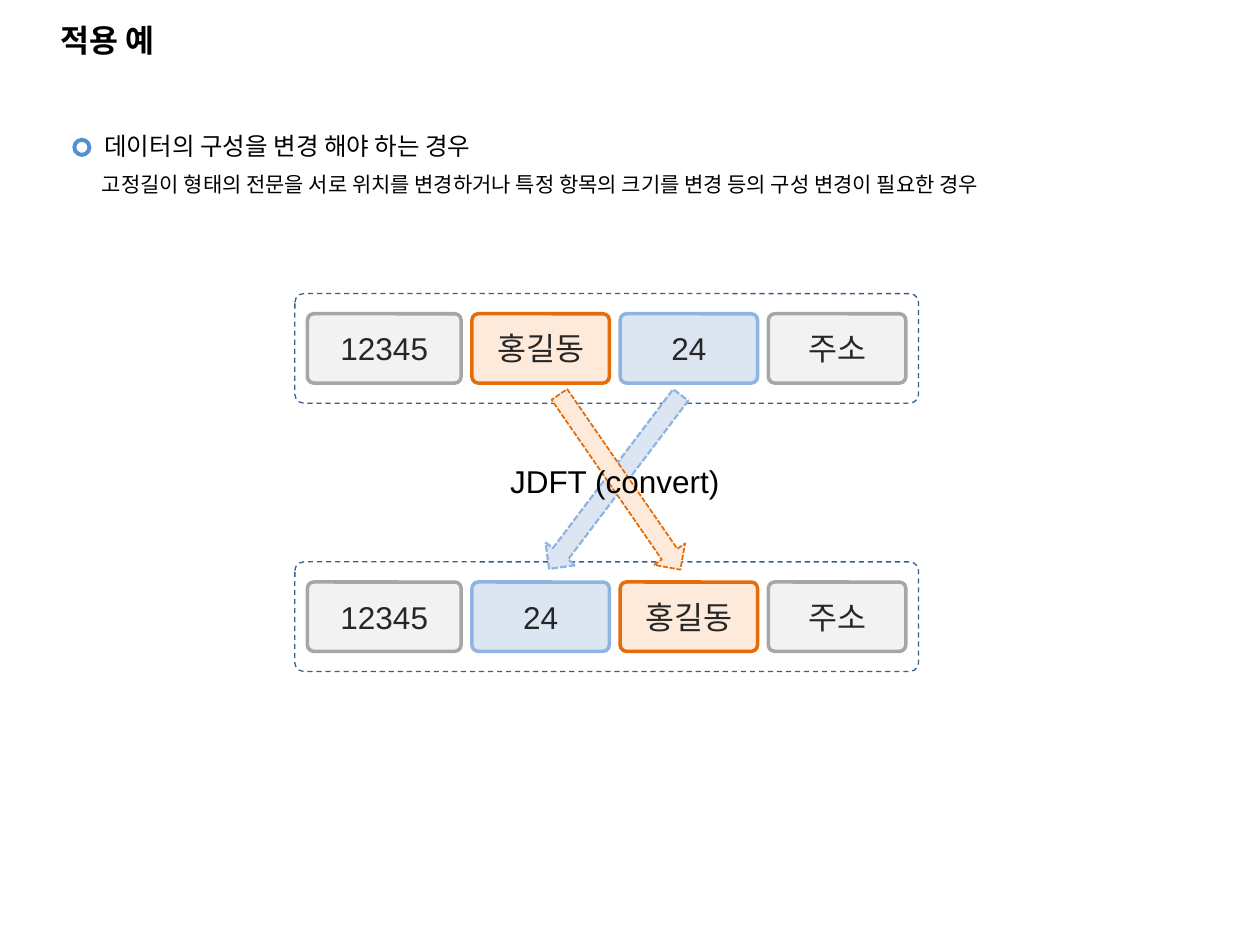
from lxml.etree import SubElement
from pptx import Presentation
from pptx.dml.color import RGBColor
from pptx.enum.dml import MSO_LINE
from pptx.enum.shapes import MSO_SHAPE
from pptx.enum.text import MSO_ANCHOR, MSO_AUTO_SIZE, PP_ALIGN
from pptx.oxml.ns import qn
from pptx.util import Pt

# Content
COLORS = {
    "black": "000000", "field_text": "262626", "bullet": "558ED5", "frame": "3A5F8C",
    "gray": "F2F2F2", "gray_edge": "A6A6A6",
    "orange": "FDEADA", "orange_edge": "E46C0A",
    "blue": "DCE6F2", "blue_edge": "8EB4E3",
}
KOREAN = "Noto Sans CJK KR"
LATIN = "Arial"

# text, (left, top, width, height), font, format values, frame values
TEXTS = [
    ("적용 예", (27.4, 9.4, 648, 28), KOREAN, {"size": Pt(18), "bold": True},
     {"word_wrap": True, "vertical_anchor": MSO_ANCHOR.BOTTOM}),
    ("데이터의 구성을 변경 해야 하는 경우", (52.6, 71.3, 648, 24.5), KOREAN,
     {"size": Pt(14)}, {"word_wrap": True, "auto_size": MSO_AUTO_SIZE.SHAPE_TO_FIT_TEXT}),
    ("고정길이 형태의 전문을 서로 위치를 변경하거나 특정 항목의 크기를 변경 등의 구성 변경이 필요한 경우",
     (51.1, 94.3, 624, 21.6), KOREAN,
     {"size": Pt(12)}, {"word_wrap": True, "auto_size": MSO_AUTO_SIZE.SHAPE_TO_FIT_TEXT}),
    ("JDFT (convert)", (284.4, 260.6, 135.4, 28.8), LATIN,
     {"size": Pt(18)}, {"word_wrap": False, "auto_size": MSO_AUTO_SIZE.SHAPE_TO_FIT_TEXT}),
]

FIELD_COLORS = {"12345": "gray", "홍길동": "orange", "24": "blue", "주소": "gray"}
RECORDS = [
    (167.8, ["12345", "홍길동", "24", "주소"]),
    (321.1, ["12345", "24", "홍길동", "주소"]),
]
FIELD_WIDTHS = [87.8, 78.5, 78.5, 78.5]
FIELD_GAP, FIELD_HEIGHT = 6.2, 39.6
FRAME_LEFT, FRAME_WIDTH, FRAME_HEIGHT, FRAME_PAD = 168.5, 356.4, 62.6, 7.2

# color, (left, top, width, height), rotation, line width
ARROWS = [
    ("blue", (340.6, 213.1, 21.6, 124.6), 37.1, 1.25),
    ("orange", (343.4, 214.6, 21.6, 121.7), 325.4, 1),
]

deck = Presentation()
deck.slide_width, deck.slide_height = Pt(720), Pt(540)
slide = deck.slides.add_slide(deck.slide_layouts[6])


def rgb(name):
    return RGBColor.from_string(COLORS[name])


def apply(target, values):
    for key, value in values.items():
        setattr(target, key, value)


def write(frame, text, font_name, color, values):
    run = frame.paragraphs[0].add_run()
    run.text = text
    run.font.color.rgb = rgb(color)
    apply(run.font, {"name": font_name, **values})
    east_asian = SubElement(run.font._element, qn("a:ea"))
    east_asian.set("typeface", KOREAN)


def add_outline(kind, box, fill, edge, weight, dash=None, corner=None):
    shape = slide.shapes.add_shape(kind, *map(Pt, box))
    shape.shadow.inherit = False
    if fill:
        shape.fill.solid()
        shape.fill.fore_color.rgb = rgb(fill)
    else:
        shape.fill.background()
    shape.line.color.rgb = rgb(edge)
    apply(shape.line, {"width": Pt(weight), "dash_style": dash})
    if corner is not None:
        shape.adjustments[0] = corner
    return shape


# Bullet ring
add_outline(MSO_SHAPE.OVAL, (42.5, 79.9, 8.6, 8.6), None, "bullet", 2.25)

# Records before and after conversion
for top, fields in RECORDS:
    add_outline(MSO_SHAPE.ROUNDED_RECTANGLE, (FRAME_LEFT, top, FRAME_WIDTH, FRAME_HEIGHT),
                None, "frame", 0.75, MSO_LINE.DASH, 0.08)
    left = FRAME_LEFT + FRAME_PAD
    field_top = top + (FRAME_HEIGHT - FIELD_HEIGHT) / 2
    for field, width in zip(fields, FIELD_WIDTHS):
        color = FIELD_COLORS[field]
        box = add_outline(MSO_SHAPE.ROUNDED_RECTANGLE, (left, field_top, width, FIELD_HEIGHT),
                          color, color + "_edge", 2, corner=0.09)
        box.text_frame.vertical_anchor = MSO_ANCHOR.MIDDLE
        box.text_frame.paragraphs[0].alignment = PP_ALIGN.CENTER
        write(box.text_frame, field, LATIN, "field_text", {"size": Pt(18)})
        left += width + FIELD_GAP

# Crossing arrows
for color, box, rotation, weight in ARROWS:
    arrow = add_outline(MSO_SHAPE.DOWN_ARROW, box, color, color + "_edge", weight,
                        MSO_LINE.SQUARE_DOT)
    arrow.rotation = rotation

# Title, explanation and arrow label
for text, box, font_name, font_values, frame_values in TEXTS:
    frame = slide.shapes.add_textbox(*map(Pt, box)).text_frame
    apply(frame, frame_values)
    write(frame, text, font_name, "black", font_values)

deck.save("out.pptx")
